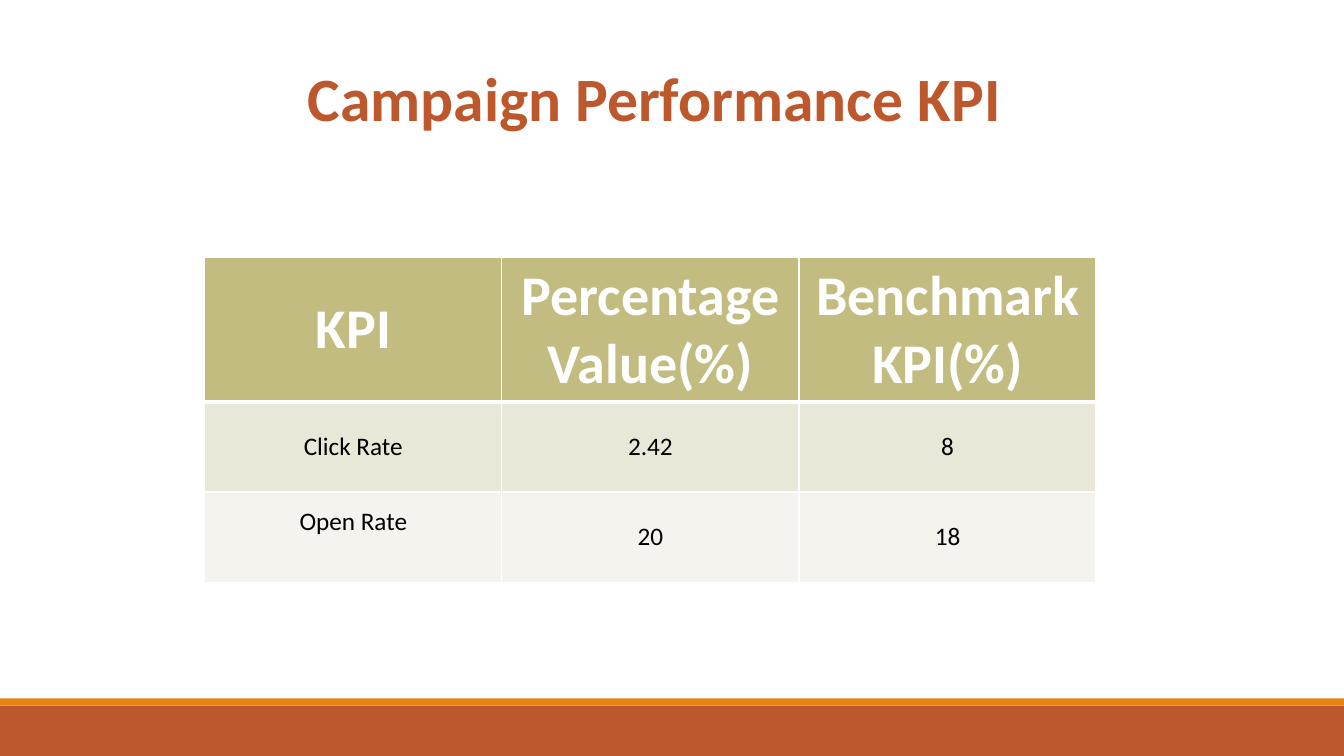
from dataclasses import dataclass

from lxml import etree
from pptx import Presentation, util as u
from pptx.dml.color import RGBColor
from pptx.enum import shapes, text
from pptx.oxml import ns

PX = 9525  # EMU in one px (96 px to the inch)


@dataclass(frozen=True)
class Theme:
    font: str = "Calibri"
    rust: str = "BD582C"
    orange: str = "E48312"
    olive: str = "C2BC80"
    band_dark: str = "E9E7D8"
    band_light: str = "F4F3ED"
    white: str = "FFFFFF"
    black: str = "000000"
    title_size: int = 44
    header_size: int = 40
    body_size: int = 18
    thin_line: int = 1
    thick_line: int = 3


@dataclass(frozen=True)
class Box:
    left: int
    top: int
    width: int
    height: int

    def emu(self) -> tuple[int, ...]:
        return tuple(side * PX for side in (self.left, self.top, self.width, self.height))


@dataclass(frozen=True)
class Row:
    labels: tuple[str, ...]
    height: int
    fill: str
    size: int
    color: str
    bold: bool = False
    top_line: int = 1
    bottom_line: int = 1


THEME = Theme()
SLIDE = Box(0, 0, 1280, 720)
TITLE = Box(102, 52, 1043, 81)
TABLE_LEFT, TABLE_TOP, COLUMN_WIDTH = 195, 245, 283
RAISED_LABEL, RAISED_MARGIN = "Open Rate", 34

FOOTER_BARS = (
    (Box(0, 672, 1280, 48), THEME.rust),
    (Box(0, 665, 1280, 7), THEME.orange),
)

ROWS = (
    Row(("KPI", "Percentage Value(%)", "Benchmark KPI(%)"), 114, THEME.olive,
        THEME.header_size, THEME.white, bold=True, bottom_line=THEME.thick_line),
    Row(("Click Rate", "2.42", "8"), 86, THEME.band_dark,
        THEME.body_size, THEME.black, top_line=THEME.thick_line),
    Row(("Open Rate", "20", "18"), 86, THEME.band_light,
        THEME.body_size, THEME.black),
)


def write(frame, words: str, *, size: int, color: str, bold: bool = False) -> None:
    """Put one centred paragraph into a text frame."""
    frame.word_wrap = True
    paragraph = frame.paragraphs[0]
    paragraph.alignment = text.PP_ALIGN.CENTER
    run = paragraph.add_run()
    run.text = words
    run.font.name = THEME.font
    run.font.size = u.Pt(size)
    run.font.bold = bold
    run.font.color.rgb = RGBColor.from_string(color)


def add_bar(slide, box: Box, color: str) -> None:
    shape = slide.shapes.add_shape(shapes.MSO_SHAPE.RECTANGLE, *box.emu())
    shape.shadow.inherit = False
    shape.fill.solid()
    shape.fill.fore_color.rgb = RGBColor.from_string(color)
    shape.line.fill.background()


def add_title(slide, words: str) -> None:
    frame = slide.shapes.add_textbox(*TITLE.emu()).text_frame
    frame.vertical_anchor = text.MSO_ANCHOR.MIDDLE
    write(frame, words, size=THEME.title_size, color=THEME.rust, bold=True)


def set_borders(cell, row: Row) -> None:
    """Draw the four white cell borders; call before filling the cell."""
    properties = cell._tc.get_or_add_tcPr()
    widths = {"L": THEME.thin_line, "R": THEME.thin_line,
              "T": row.top_line, "B": row.bottom_line}
    for side, width in widths.items():
        line = etree.SubElement(properties, ns.qn(f"a:ln{side}"), w=str(u.Pt(width)))
        fill = etree.SubElement(line, ns.qn("a:solidFill"))
        etree.SubElement(fill, ns.qn("a:srgbClr"), val=THEME.white)


def add_kpi_table(slide) -> None:
    column_count = len(ROWS[0].labels)
    box = Box(TABLE_LEFT, TABLE_TOP, column_count * COLUMN_WIDTH,
              sum(row.height for row in ROWS))
    table = slide.shapes.add_table(len(ROWS), column_count, *box.emu()).table
    for column in table.columns:
        column.width = COLUMN_WIDTH * PX
    for row_index, row in enumerate(ROWS):
        table.rows[row_index].height = row.height * PX
        for column_index, label in enumerate(row.labels):
            cell = table.cell(row_index, column_index)
            set_borders(cell, row)
            cell.fill.solid()
            cell.fill.fore_color.rgb = RGBColor.from_string(row.fill)
            cell.vertical_anchor = text.MSO_ANCHOR.MIDDLE
            if label == RAISED_LABEL:
                cell.margin_bottom = RAISED_MARGIN * PX
            write(cell.text_frame, label, size=row.size, color=row.color, bold=row.bold)


def main() -> None:
    presentation = Presentation()
    presentation.slide_width = SLIDE.width * PX
    presentation.slide_height = SLIDE.height * PX
    slide = presentation.slides.add_slide(presentation.slide_layouts[6])

    # Footer
    for box, color in FOOTER_BARS:
        add_bar(slide, box, color)

    # Title and table
    add_title(slide, "Campaign Performance KPI")
    add_kpi_table(slide)

    presentation.save("out.pptx")


if __name__ == "__main__":
    main()
